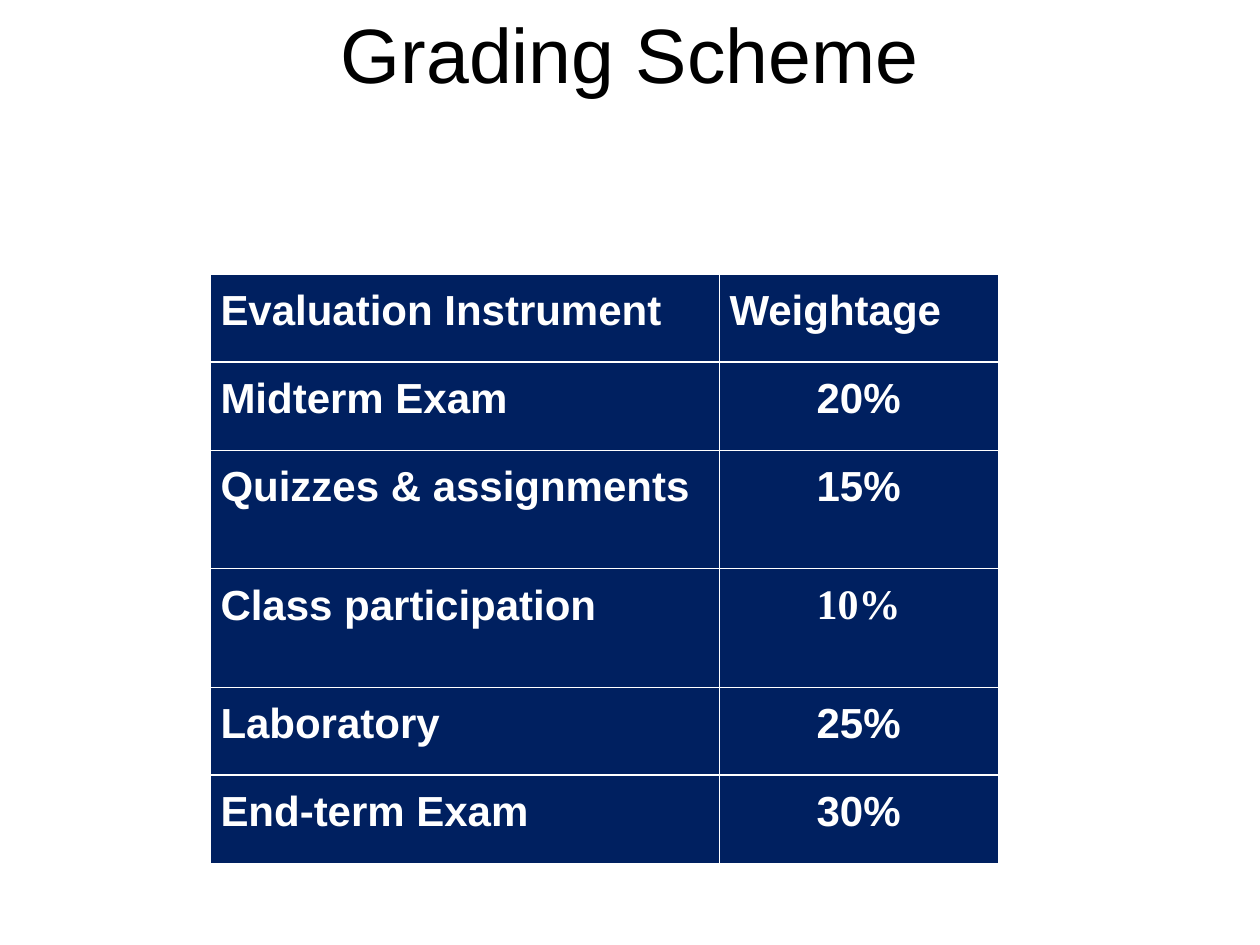
from dataclasses import dataclass

from lxml.etree import SubElement
from pptx import Presentation
from pptx.dml.color import RGBColor
from pptx.enum.text import MSO_ANCHOR as Anchor, PP_ALIGN as Align
from pptx.oxml.ns import qn
from pptx.util import Inches, Pt

COLORS = {"title": "000000", "cell": "002060", "line": "FFFFFF", "cell_text": "FFFFFF"}
SLIDE_WIDTH, SLIDE_HEIGHT = Inches(10), Inches(7.5)
TITLE_HEIGHT_SHARE = 0.11
TABLE_LEFT_SHARE, TABLE_TOP_SHARE = 0.167, 0.29
COLUMN_SHARES = (0.404, 0.221)
SHORT_ROW, TALL_ROW = 0.7 / 7.5, 0.94 / 7.5
THIN_LINE, THICK_LINE = 0.45, 1.47


@dataclass(frozen=True)
class GradeRow:
    instrument: str
    weightage: str
    height_share: float = SHORT_ROW
    weightage_align: Align = Align.CENTER
    weightage_font: str = "Arial"
    line_below: float = THIN_LINE


ROWS = (
    GradeRow("Evaluation Instrument", "Weightage", weightage_align=Align.LEFT, line_below=THICK_LINE),
    GradeRow("Midterm Exam", "20%"),
    GradeRow("Quizzes & assignments", "15%", TALL_ROW),
    GradeRow("Class participation", "10%", TALL_ROW, weightage_font="Times New Roman"),
    GradeRow("Laboratory", "25%", line_below=THICK_LINE),
    GradeRow("End-term Exam", "30%"),
)


def write_text(frame, text: str, *, size: float, color: str, font: str = "Arial",
               bold: bool = False, align: Align = Align.LEFT,
               line_spacing: float = 1.0, space_after: float = 0) -> None:
    paragraph = frame.paragraphs[0]
    paragraph.alignment = align
    paragraph.line_spacing = line_spacing
    paragraph.space_before = Pt(0)
    paragraph.space_after = Pt(space_after)
    run = paragraph.add_run()
    run.text = text
    run.font.name = font
    run.font.size = Pt(size)
    run.font.bold = bold
    run.font.color.rgb = RGBColor.from_string(color)


def draw_borders(cell, top: float, bottom: float) -> None:
    properties = cell._tc.get_or_add_tcPr()
    widths = {"a:lnL": THIN_LINE, "a:lnR": THIN_LINE, "a:lnT": top, "a:lnB": bottom}
    for tag, width in widths.items():
        line = SubElement(properties, qn(tag), w=str(Pt(width)))
        fill = SubElement(line, qn("a:solidFill"))
        SubElement(fill, qn("a:srgbClr"), val=COLORS["line"])


def draw_cell(cell, text: str, *, align: Align, font: str, top: float, bottom: float) -> None:
    draw_borders(cell, top, bottom)
    cell.fill.solid()
    cell.fill.fore_color.rgb = RGBColor.from_string(COLORS["cell"])
    cell.margin_left = cell.margin_right = Inches(0.08)
    cell.margin_top = cell.margin_bottom = Inches(0.05)
    cell.vertical_anchor = Anchor.TOP
    write_text(cell.text_frame, text, size=24, color=COLORS["cell_text"], font=font,
               bold=True, align=align, line_spacing=1.15, space_after=6)


def draw_title(slide, text: str) -> None:
    title = slide.shapes.add_textbox(0, Inches(0.01), SLIDE_WIDTH, int(SLIDE_HEIGHT * TITLE_HEIGHT_SHARE))
    title.text_frame.word_wrap = True
    title.text_frame.vertical_anchor = Anchor.MIDDLE
    write_text(title.text_frame, text, size=44, color=COLORS["title"], align=Align.CENTER)


def draw_grades(slide, rows: tuple[GradeRow, ...]) -> None:
    table = slide.shapes.add_table(
        len(rows), len(COLUMN_SHARES),
        int(SLIDE_WIDTH * TABLE_LEFT_SHARE), int(SLIDE_HEIGHT * TABLE_TOP_SHARE),
        int(SLIDE_WIDTH * sum(COLUMN_SHARES)),
        int(SLIDE_HEIGHT * sum(row.height_share for row in rows)),
    ).table
    table.first_row = table.horz_banding = False
    for column, share in zip(table.columns, COLUMN_SHARES):
        column.width = int(SLIDE_WIDTH * share)
    line_above = THIN_LINE
    for index, row in enumerate(rows):
        table.rows[index].height = int(SLIDE_HEIGHT * row.height_share)
        draw_cell(table.cell(index, 0), row.instrument, align=Align.LEFT, font="Arial",
                  top=line_above, bottom=row.line_below)
        draw_cell(table.cell(index, 1), row.weightage, align=row.weightage_align,
                  font=row.weightage_font, top=line_above, bottom=row.line_below)
        line_above = row.line_below


def main() -> None:
    presentation = Presentation()
    presentation.slide_width, presentation.slide_height = SLIDE_WIDTH, SLIDE_HEIGHT
    slide = presentation.slides.add_slide(presentation.slide_layouts[6])
    draw_title(slide, "Grading Scheme")
    draw_grades(slide, ROWS)
    presentation.save("out.pptx")


if __name__ == "__main__":
    main()
